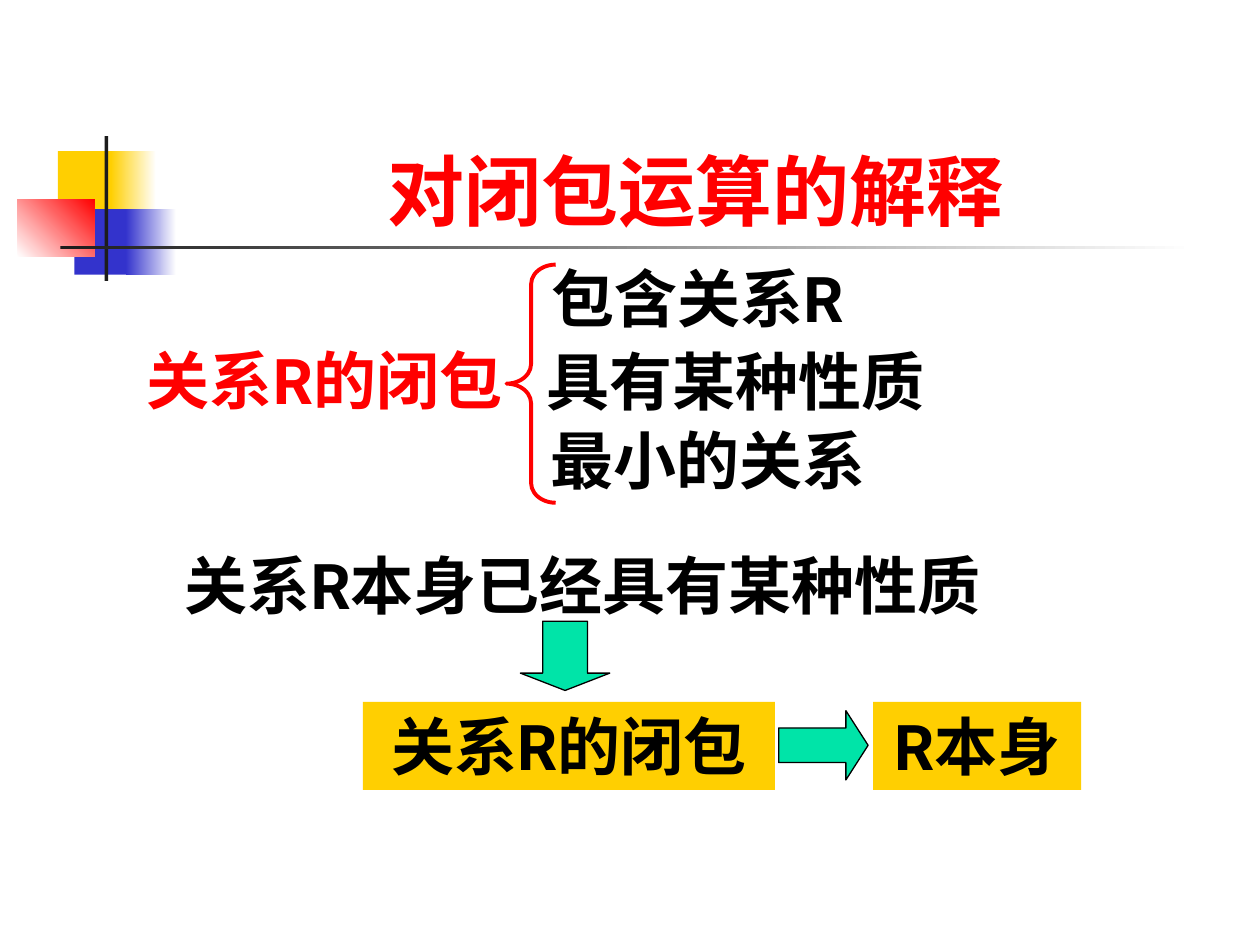
from pptx import Presentation
from pptx.dml.color import RGBColor
from pptx.enum.shapes import MSO_SHAPE
from pptx.enum.text import MSO_ANCHOR, MSO_AUTO_SIZE, PP_ALIGN
from pptx.util import Inches, Pt

RECT = MSO_SHAPE.RECTANGLE
BRACE = MSO_SHAPE.LEFT_BRACE
DOWN, RIGHT = MSO_SHAPE.DOWN_ARROW, MSO_SHAPE.RIGHT_ARROW
CENTER, BOTTOM = PP_ALIGN.CENTER, MSO_ANCHOR.BOTTOM
NO_FIT = MSO_AUTO_SIZE.NONE

YELLOW, BLUE, RED, DARK = "FFCF01", "3333CC", "FF0000", "1C1C1C"
GREEN, BLACK, WHITE = "00E4A8", "000000", "FFFFFF"


def add_shape(kind, box, fill=None, line=None, width=0.75):
    """Add a preset shape; a pair of colours as fill makes a gradient."""
    sp = s.shapes.add_shape(kind, *map(Inches, box))
    sp.shadow.inherit = False
    if fill is None:
        sp.fill.background()
    elif isinstance(fill, tuple):
        sp.fill.gradient()
        for stop, color in zip(sp.fill.gradient_stops, fill):
            stop.color.rgb = RGBColor.from_string(color)
        sp.fill.gradient_angle = 0
    else:
        sp.fill.solid()
        sp.fill.fore_color.rgb = RGBColor.from_string(fill)
    if line:
        sp.line.color.rgb = RGBColor.from_string(line)
        sp.line.width = Pt(width)
    else:
        sp.line.fill.background()
    return sp


def write(sp, text, color, size=36, wrap=False, anchor=MSO_ANCHOR.TOP):
    tf = sp.text_frame
    frame = {"word_wrap": wrap, "auto_size": NO_FIT, "vertical_anchor": anchor}
    for name, value in frame.items():
        setattr(tf, name, value)
    p = tf.paragraphs[0]
    p.alignment = CENTER
    r = p.add_run()
    r.text = text
    for name, value in {"name": "Roboto", "size": Pt(size), "bold": True}.items():
        setattr(r.font, name, value)
    r.font.color.rgb = RGBColor.from_string(color)


prs = Presentation()
prs.slide_width, prs.slide_height = Inches(10), Inches(7.5)
s = prs.slides.add_slide(prs.slide_layouts[5])

# Corner ornament and title rule
add_shape(RECT, (0.46, 1.2, 0.48, 0.52), YELLOW)
add_shape(RECT, (0.88, 1.2, 0.36, 0.52), (YELLOW, WHITE))
add_shape(RECT, (0.59, 1.66, 0.46, 0.52), BLUE)
add_shape(RECT, (1, 1.66, 0.4, 0.52), (BLUE, WHITE))
red_square = add_shape(RECT, (0.14, 1.58, 0.61, 0.46), (WHITE, RED))
red_square.fill.gradient_angle = 45
add_shape(RECT, (0.83, 1.08, 0.03, 1.15), DARK)
add_shape(RECT, (0.48, 1.95, 9, 0.03), (DARK, WHITE))

title = s.shapes.title
title.left, title.top = Inches(1.26), Inches(0.67)
title.width, title.height = Inches(8.52), Inches(1.25)
write(title, "对闭包运算的解释", RED, 44, True, BOTTOM)

# Definition of the closure
brace = add_shape(BRACE, (4.02, 2.1, 0.39, 1.89), None, RED, 2.25)
brace.adjustments[0] = 0.4
for text, left, top, width, color in [
    ("关系R的闭包", 0.94, 2.66, 3.27, RED),
    ("包含关系R", 4.21, 2.01, 2.65, BLACK),
    ("具有某种性质", 4.24, 2.67, 3.2, BLACK),
    ("最小的关系", 4.27, 3.3, 2.7, BLACK),
    ("关系R本身已经具有某种性质", 1.24, 4.29, 6.77, BLACK),
]:
    box = s.shapes.add_textbox(*map(Inches, (left, top, width, 0.7)))
    write(box, text, color)

# Conclusion
for text, left, width in [("关系R的闭包", 2.88, 3.27), ("R本身", 6.93, 1.65)]:
    write(add_shape(RECT, (left, 5.57, width, 0.7), YELLOW), text, BLACK)
for kind, left, top, head in [(DOWN, 4.13, 4.93, 0.25), (RIGHT, 6.18, 5.64, 0.32)]:
    arrow = add_shape(kind, (left, top, 0.71, 0.55), GREEN, BLACK)
    arrow.adjustments[0], arrow.adjustments[1] = 0.5, head

prs.save("out.pptx")
